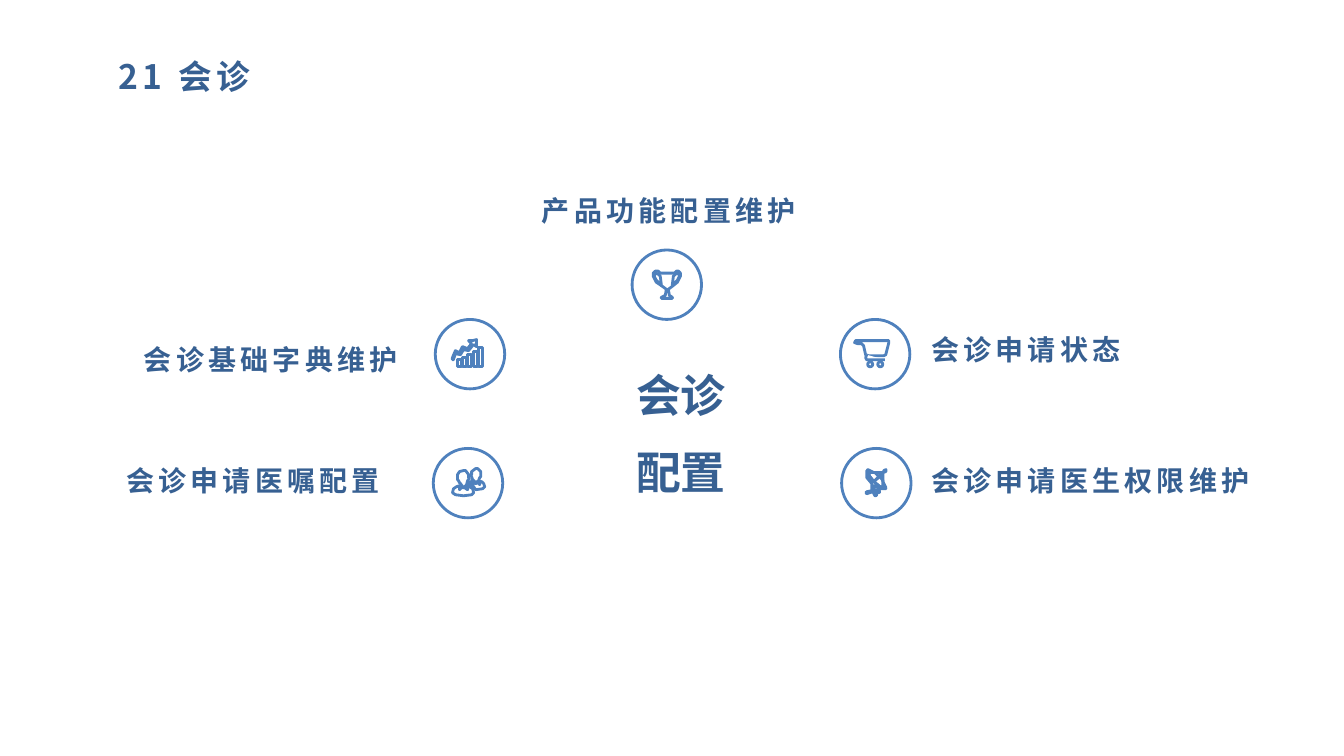
from dataclasses import dataclass

from lxml.etree import SubElement
from pptx import Presentation
from pptx.dml.color import RGBColor
from pptx.enum.shapes import MSO_SHAPE
from pptx.enum.text import MSO_ANCHOR, MSO_AUTO_SIZE, PP_ALIGN
from pptx.oxml.ns import qn
from pptx.shapes.autoshape import Shape
from pptx.slide import Slide
from pptx.text.text import TextFrame
from pptx.util import Cm, Pt

Point = tuple[int, int]
Contour = list[Point]


@dataclass(frozen=True)
class Theme:
    text: RGBColor = RGBColor(0x37, 0x60, 0x92)
    outline: RGBColor = RGBColor(0x4F, 0x81, 0xBD)
    background: RGBColor = RGBColor(0xFF, 0xFF, 0xFF)
    font: str = "Noto Sans CJK SC"
    center_font: str = "Arial"
    title_size: int = 24
    center_size: int = 32
    label_size: int = 20
    letter_spacing: int = 3
    line_width: int = 2
    circle_size: float = 1.75
    icon_unit: float = 0.0254


@dataclass(frozen=True)
class Label:
    text: str
    left: float
    top: float
    width: float
    height: float
    alignment: PP_ALIGN = PP_ALIGN.LEFT
    line_spacing: float = 1.0


@dataclass(frozen=True)
class Icon:
    left: float
    top: float
    contours: list[Contour]
    wheels: tuple[Point, ...] = ()
    open_line: tuple[Point, ...] = ()


THEME = Theme()
WHEEL_SIZE = 5

TROPHY = [
    [(42, 23), (28, 23), (26, 21), (23, 21), (21, 23), (21, 26), (24, 32), (30, 36), (34, 39),
     (33, 45), (29, 47), (29, 48), (40, 48), (40, 47), (37, 45), (36, 39), (40, 36), (45, 32),
     (48, 26), (48, 23), (46, 21), (44, 21)],
    [(23, 23), (26, 24), (28, 26), (29, 34), (29, 35), (24, 30), (22, 26)],
    [(40, 35), (40, 34), (41, 26), (43, 24), (46, 23), (47, 26), (45, 30)],
]
GROWTH_ARROW = [
    (28, 30), (33, 31), (37, 26), (38, 25), (41, 27), (41, 20), (37, 21), (33, 21), (36, 24),
    (32, 29), (27, 27), (24, 33), (20, 31), (17, 38), (17, 40), (18, 40), (20, 34), (25, 35),
]
GROWTH_BARS = [
    [(left, 47), (left, top), (left + 4, top), (left + 4, 47)]
    for left, top in ((22, 40), (27, 38), (32, 35), (38, 32), (43, 28))
]
PEOPLE = [
    [(51, 38), (49, 40), (42, 41), (40, 38), (37, 36), (34, 35), (37, 33), (39, 33), (39, 36),
     (41, 34), (42, 35), (44, 34), (46, 36), (46, 33), (48, 33), (50, 35)],
    [(47, 27), (47, 23), (44, 20), (42, 20), (38, 23), (38, 26), (37, 27), (38, 28), (39, 31),
     (40, 32), (42, 34), (45, 32), (46, 29), (47, 28)],
    [(36, 38), (34, 37), (34, 41), (31, 39), (28, 39), (26, 41), (26, 37), (23, 38), (20, 40),
     (19, 44), (22, 46), (30, 47), (38, 46), (40, 44), (39, 40)],
    [(36, 30), (35, 29), (35, 26), (32, 22), (30, 22), (26, 23), (24, 26), (24, 31), (25, 32),
     (26, 34), (27, 35), (30, 39), (33, 36), (34, 32), (35, 31)],
]
GLOBE = [
    [(32, 33), (28, 28), (25, 22), (25, 29), (30, 35), (30, 42), (25, 43), (24, 44), (25, 45),
     (31, 43), (33, 47), (34, 47), (35, 46), (33, 43), (37, 44), (38, 43), (37, 42), (32, 41),
     (32, 37), (39, 40), (43, 40), (44, 40), (38, 38)],
    [(41, 37), (41, 32), (38, 28), (33, 32), (37, 28), (33, 24), (28, 24), (32, 24), (26, 21),
     (26, 22), (28, 28), (32, 33), (38, 38), (43, 39), (44, 39), (41, 33)],
    [(40, 24), (37, 28), (38, 28), (41, 25), (41, 33), (41, 24), (44, 23), (44, 21), (42, 22),
     (41, 24), (33, 24)],
]
CART = [
    [(43, 36), (45, 35), (48, 23), (48, 21), (46, 21), (15, 21), (14, 23), (17, 24), (21, 24),
     (23, 26), (25, 35), (28, 36)],
]

ICONS = [
    Icon(21.21, 11.3, GLOBE),
    Icon(21.18, 8.05, CART, ((27, 42), (37, 42)), ((26, 35), (25, 38), (26, 40), (44, 40))),
    Icon(10.92, 11.3, PEOPLE),
    Icon(10.97, 8.05, [GROWTH_ARROW, *GROWTH_BARS]),
    Icon(15.93, 6.3, TROPHY),
]
LABELS = [
    Label("会诊申请医生权限维护", 23.47, 11.68, 8.66, 1.85),
    Label("会诊申请状态", 23.47, 8.2, 4.95, 0.81, line_spacing=1.2),
    Label("会诊申请医嘱配置", 3.18, 11.68, 7.26, 1.14),
    Label("会诊基础字典维护", 3.33, 8.46, 6.99, 0.84, PP_ALIGN.CENTER, 1.2),
    Label("产品功能配置维护", 13.36, 4.72, 6.99, 0.84, PP_ALIGN.CENTER, 1.2),
]
CENTER = Label("会诊\n配置", 15.7, 8.99, 2.92, 1.04, PP_ALIGN.CENTER, 1.2)


def format_text(text_frame: TextFrame, font: str, size: int, spacing: int = 0) -> None:
    for paragraph in text_frame.paragraphs:
        for run in paragraph.runs:
            run.font.name = font
            run.font.size = Pt(size)
            run.font.bold = True
            run.font.color.rgb = THEME.text
            properties = run._r.get_or_add_rPr()
            SubElement(properties, qn("a:ea")).set("typeface", font)
            if spacing:
                properties.set("spc", str(spacing * 100))


def add_label(slide: Slide, label: Label, font: str, size: int, spacing: int = 0) -> None:
    box = slide.shapes.add_textbox(
        Cm(label.left), Cm(label.top), Cm(label.width), Cm(label.height))
    text_frame = box.text_frame
    text_frame.word_wrap = True
    text_frame.margin_left = text_frame.margin_right = Cm(0)
    text_frame.margin_top = text_frame.margin_bottom = Cm(0)
    text_frame.text = label.text
    for index, paragraph in enumerate(text_frame.paragraphs):
        paragraph.alignment = label.alignment
        paragraph.line_spacing = label.line_spacing
        if index:
            paragraph.space_before = Pt(9)
    format_text(text_frame, font, size, spacing)


def style_outline(shape: Shape) -> None:
    shape.shadow.inherit = False
    shape.fill.solid()
    shape.fill.fore_color.rgb = THEME.background
    shape.line.color.rgb = THEME.outline
    shape.line.width = Pt(THEME.line_width)


def add_circle(slide: Slide, left: float, top: float, size: float) -> None:
    style_outline(slide.shapes.add_shape(
        MSO_SHAPE.OVAL, Cm(left), Cm(top), Cm(size), Cm(size)))


def add_outline(slide: Slide, icon: Icon, contours: list[Contour], close: bool = True) -> None:
    builder = slide.shapes.build_freeform(*contours[0][0], scale=Cm(THEME.icon_unit))
    for contour in contours:
        builder.move_to(*contour[0])
        builder.add_line_segments(contour[1:], close=close)
    style_outline(builder.convert_to_shape(Cm(icon.left), Cm(icon.top)))


def add_icon(slide: Slide, icon: Icon) -> None:
    add_circle(slide, icon.left, icon.top, THEME.circle_size)
    add_outline(slide, icon, icon.contours)
    unit = THEME.icon_unit
    for x, y in icon.wheels:
        add_circle(slide, icon.left + x * unit, icon.top + y * unit, WHEEL_SIZE * unit)
    if icon.open_line:
        add_outline(slide, icon, [list(icon.open_line)], close=False)


def add_title(slide: Slide) -> None:
    title = slide.shapes.title
    title.left, title.top, title.width, title.height = Cm(2.74), Cm(1.27), Cm(25.93), Cm(1.47)
    text_frame = title.text_frame
    text_frame.text = "21 会诊"
    text_frame.auto_size = MSO_AUTO_SIZE.NONE
    text_frame.vertical_anchor = MSO_ANCHOR.TOP
    text_frame.paragraphs[0].alignment = PP_ALIGN.LEFT
    format_text(text_frame, THEME.font, THEME.title_size, THEME.letter_spacing)


def main() -> None:
    presentation = Presentation()
    presentation.slide_width, presentation.slide_height = Cm(33.87), Cm(19.05)
    slide = presentation.slides.add_slide(presentation.slide_layouts[5])
    add_title(slide)
    add_label(slide, CENTER, THEME.center_font, THEME.center_size)
    for icon in ICONS:
        add_icon(slide, icon)
    for label in LABELS:
        add_label(slide, label, THEME.font, THEME.label_size, THEME.letter_spacing)
    presentation.save("out.pptx")


if __name__ == "__main__":
    main()
